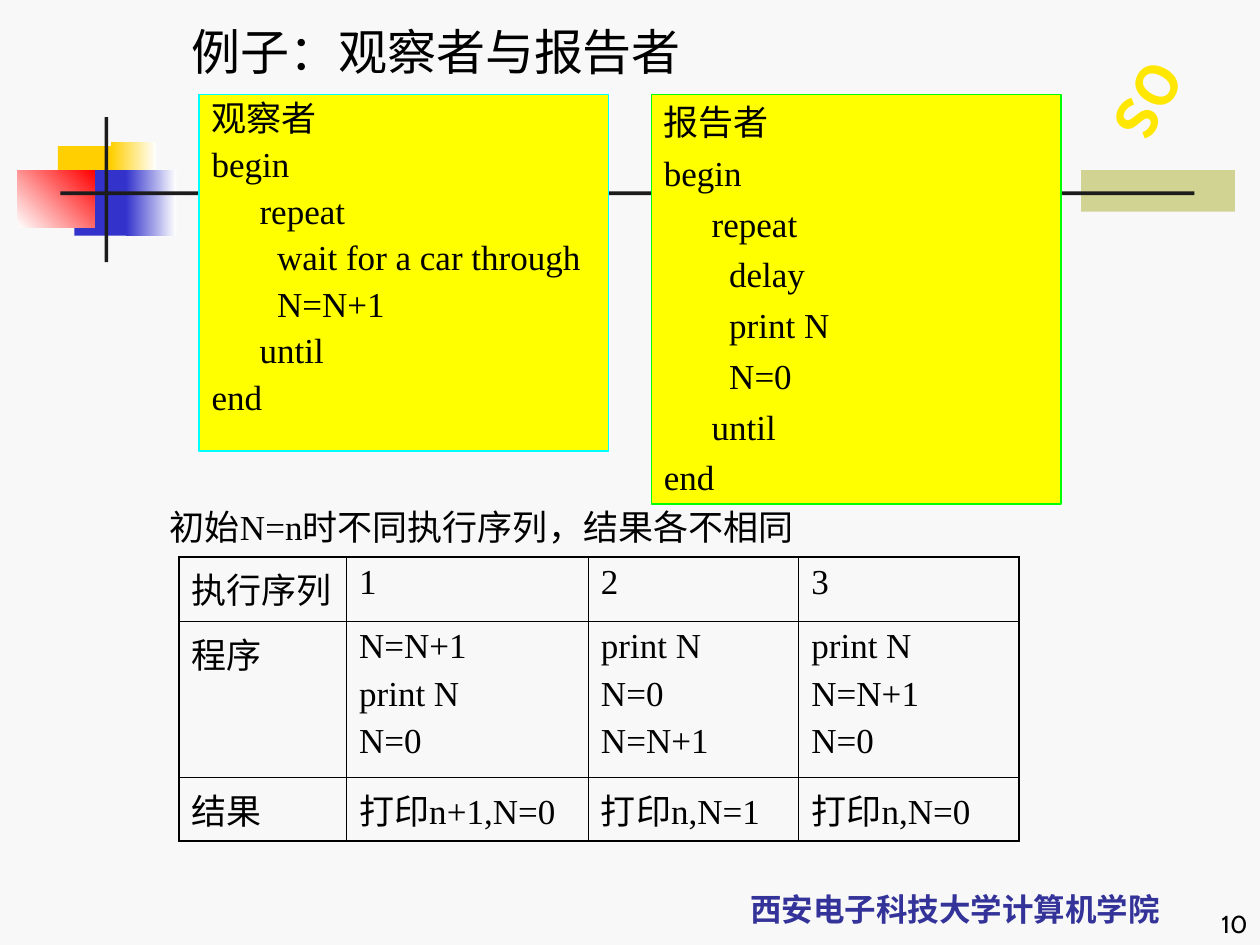
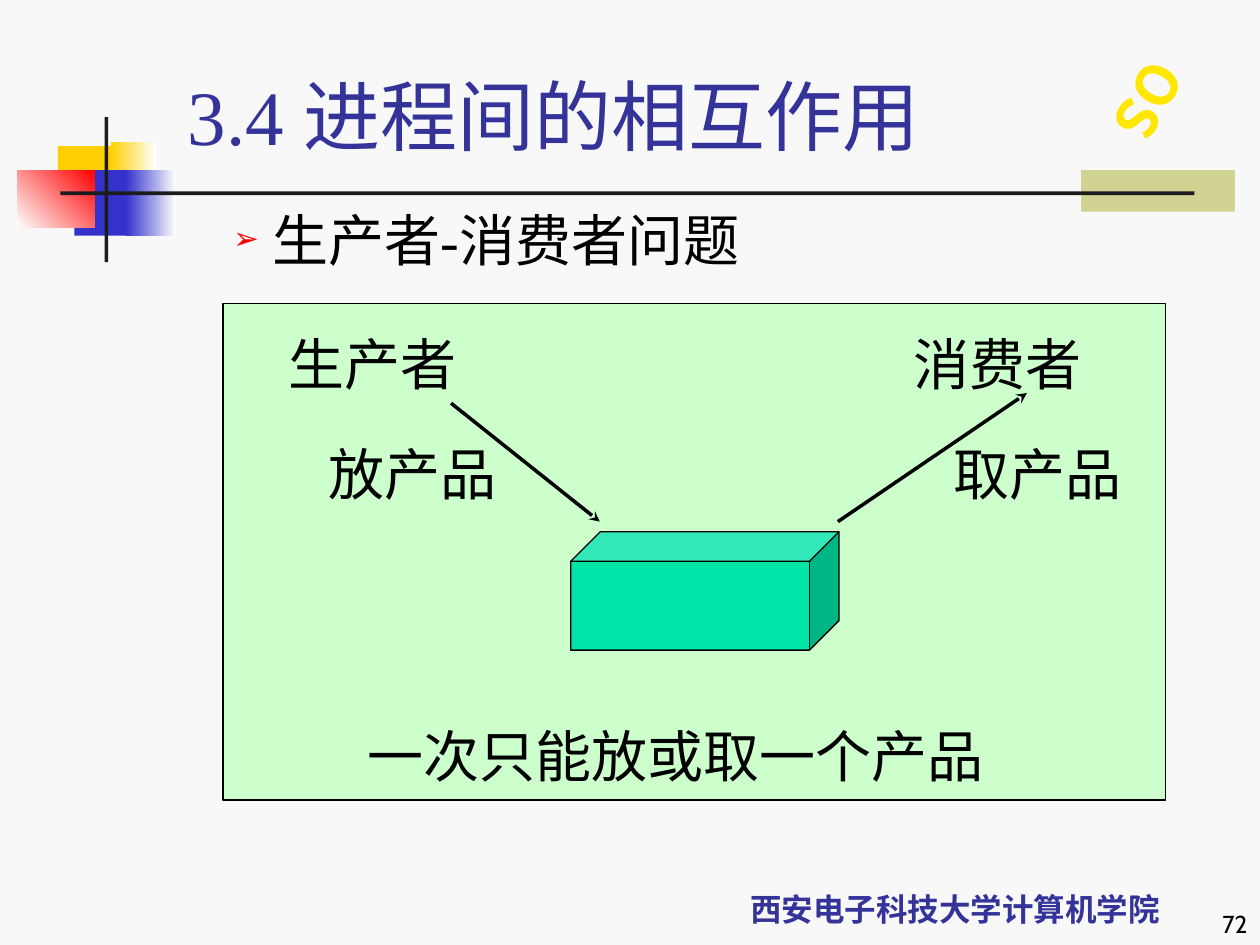
from dataclasses import dataclass, replace
from typing import NamedTuple, Optional

from lxml.etree import SubElement
from pptx import Presentation
from pptx.dml.color import RGBColor
from pptx.enum.shapes import MSO_CONNECTOR, MSO_SHAPE
from pptx.enum.text import MSO_ANCHOR, MSO_AUTO_SIZE, PP_ALIGN
from pptx.oxml.ns import qn
from pptx.util import Emu, Pt

PX = 9144  # 100 px to the inch
SERIF, SANS, NUMBER_FONT = "Times New Roman", "Noto Sans CJK SC", "Cabin"
BLACK, WHITE, RED, YELLOW = "000000", "FFFFFF", "FF0000", "FFFF00"
NAVY, BLUE, GOLD, INK = "333399", "3333CC", "FFCF01", "1C1C1C"
PAPER, OLIVE, MINT, JADE = "F8F8F8", "D1D393", "CCFFCC", "00E4A8"
CYAN, GREEN = "00FFFF", "00FF00"


class Area(NamedTuple):
    left: int
    top: int
    width: int
    height: int


class Gradient(NamedTuple):
    start: str
    end: str
    angle: int = 0


class Block(NamedTuple):
    area: Area
    fill: str | Gradient


class Label(NamedTuple):
    area: Area
    text: str


class Arrow(NamedTuple):
    start: tuple[int, int]
    end: tuple[int, int]


@dataclass(frozen=True)
class TextStyle:
    size: int
    color: str | Gradient = BLACK
    font: str = SERIF
    bold: bool = False
    space_before: int = 0
    line_spacing: float = 1.0
    margin: int = 0
    indent: int = 0
    level: int = 0
    bullet: Optional[str] = None
    align: PP_ALIGN = PP_ALIGN.LEFT
    anchor: MSO_ANCHOR = MSO_ANCHOR.TOP


# Text styles
CODE = TextStyle(20, space_before=5, margin=38, indent=-38)
TIGHT_CODE = replace(CODE, line_spacing=0.9)
CELL = TextStyle(20, space_before=5)
EXAMPLE_TITLE = TextStyle(28, line_spacing=0.9)
SECTION_TITLE = TextStyle(44, NAVY, anchor=MSO_ANCHOR.BOTTOM)
DIAGRAM = TextStyle(32, margin=81, indent=-31, level=1)
BULLETED = replace(DIAGRAM, bullet="➢")
FOOTER = TextStyle(18, NAVY, SANS, True, align=PP_ALIGN.CENTER, anchor=MSO_ANCHOR.BOTTOM)
BADGE = TextStyle(32, Gradient("FFE701", "FE3E02", 329), SANS, True,
                  align=PP_ALIGN.CENTER, anchor=MSO_ANCHOR.MIDDLE)
PAGE_NUMBER = TextStyle(14, font=NUMBER_FONT, align=PP_ALIGN.RIGHT, anchor=MSO_ANCHOR.BOTTOM)

# Shared decoration
DECORATION = [
    Block(Area(858, 135, 122, 33), OLIVE),
    Block(Area(46, 116, 48, 52), GOLD),
    Block(Area(88, 113, 36, 52), Gradient(GOLD, WHITE)),
    Block(Area(59, 135, 46, 52), BLUE),
    Block(Area(100, 135, 40, 52), Gradient(BLUE, WHITE)),
    Block(Area(14, 135, 61, 46), Gradient(WHITE, RED, 45)),
    Block(Area(83, 93, 3, 115), INK),
    Block(Area(48, 152, 900, 3), INK),
]

# Observer and reporter content
OBSERVER = """观察者
begin
\trepeat
\t  wait for a car through
\t  N=N+1
\tuntil
end"""
REPORTER = """报告者
begin
\trepeat
\t  delay
\t  print N
\t  N=0
\tuntil
end"""
SEQUENCES = [
    ["执行序列", "1", "2", "3"],
    ["程序", "N=N+1\nprint N\nN=0", "print N\nN=0\nN=N+1", "print N\nN=N+1\nN=0"],
    ["结果", "打印n+1,N=0", "打印n,N=1", "打印n,N=0"],
]
COLUMN_WIDTHS = [133, 192, 167, 175]
ROW_HEIGHTS = [51, 124, 50]

# Producer and consumer content
DIAGRAM_LABELS = [
    Label(Area(169, 257, 205, 67), "生产者"),
    Label(Area(665, 257, 205, 67), "消费者"),
    Label(Area(232, 568, 567, 67), "一次只能放或取一个产品"),
    Label(Area(201, 344, 205, 67), "放产品"),
    Label(Area(697, 344, 205, 67), "取产品"),
]
ARROWS = [Arrow((358, 320), (476, 414)), Arrow((665, 414), (815, 312))]


def px(length: int) -> Emu:
    return Emu(length * PX)


def emu(area: Area) -> list[Emu]:
    return [px(length) for length in area]


def rgb(color: str) -> RGBColor:
    return RGBColor.from_string(color)


def paint(fill, color: str | Gradient) -> None:
    if isinstance(color, Gradient):
        fill.gradient()
        fill.gradient_angle = color.angle
        for stop, stop_color in zip(fill.gradient_stops, color[:2]):
            stop.color.rgb = rgb(stop_color)
    else:
        fill.solid()
        fill.fore_color.rgb = rgb(color)


def outline(shape, color: str, width: float = 0.75) -> None:
    shape.line.color.rgb = rgb(color)
    shape.line.width = Pt(width)


def set_bullet(para, bullet: Optional[str]) -> None:
    properties = para._p.get_or_add_pPr()
    if bullet is None:
        SubElement(properties, qn("a:buNone"))
        return
    color = SubElement(properties, qn("a:buClr"))
    SubElement(color, qn("a:srgbClr"), val=RED)
    SubElement(properties, qn("a:buSzPct"), val="55000")
    SubElement(properties, qn("a:buChar"), char=bullet)


def write(text_frame, text: str, style: TextStyle) -> None:
    text_frame.text = text
    for index, para in enumerate(text_frame.paragraphs):
        set_bullet(para, style.bullet)
        properties = para._p.get_or_add_pPr()
        properties.set("marL", str(px(style.margin)))
        properties.set("indent", str(px(style.indent)))
        para.level = style.level
        para.alignment = style.align
        para.line_spacing = style.line_spacing
        para.space_before = Pt(style.space_before if index else 0)
        for span in para.runs:
            span.font.size = Pt(style.size)
            span.font.bold = style.bold
            span.font.name = style.font
            paint(span.font.fill, style.color)
            SubElement(span._r.get_or_add_rPr(), qn("a:ea"), typeface=SANS)


def fill_box(box, text: str, style: TextStyle) -> None:
    frame = box.text_frame
    frame.word_wrap = True
    frame.auto_size = MSO_AUTO_SIZE.NONE
    frame.vertical_anchor = style.anchor
    write(frame, text, style)


def add_text(page, area: Area, text: str, style: TextStyle):
    box = page.shapes.add_textbox(*emu(area))
    fill_box(box, text, style)
    return box


def fill_placeholder(box, area: Area, text: str, style: TextStyle) -> None:
    box.left, box.top, box.width, box.height = emu(area)
    fill_box(box, text, style)


def add_block(page, block: Block, line: Optional[str] = None, kind=MSO_SHAPE.RECTANGLE):
    shape = page.shapes.add_shape(kind, *emu(block.area))
    shape.shadow.inherit = False
    paint(shape.fill, block.fill)
    if line:
        outline(shape, line)
    else:
        shape.line.fill.background()
    return shape


def add_arrow(page, arrow: Arrow) -> None:
    ends = [px(value) for value in arrow.start + arrow.end]
    connector = page.shapes.add_connector(MSO_CONNECTOR.STRAIGHT, *ends)
    outline(connector, BLACK, 2)
    properties = connector.element.spPr
    SubElement(properties.find(qn("a:ln")), qn("a:tailEnd"), type="stealth")
    SubElement(properties, qn("a:effectLst"))


def border_cell(cell, outer: dict[str, bool]) -> None:
    cell.fill.background()
    properties = cell._tc.get_or_add_tcPr()
    for index, (side, is_outer) in enumerate(outer.items()):
        width = Pt(1.08 if is_outer else 0.45)
        line = SubElement(properties, qn(f"a:ln{side}"), w=str(width))
        SubElement(SubElement(line, qn("a:solidFill")), qn("a:srgbClr"), val=BLACK)
        properties.insert(index, line)


def add_sequence_table(page) -> None:
    area = Area(142, 442, sum(COLUMN_WIDTHS), sum(ROW_HEIGHTS))
    last_row, last_column = len(ROW_HEIGHTS) - 1, len(COLUMN_WIDTHS) - 1
    table = page.shapes.add_table(last_row + 1, last_column + 1, *emu(area)).table
    table.first_row = table.horz_banding = False
    for column, width in zip(table.columns, COLUMN_WIDTHS):
        column.width = px(width)
    for row, height in zip(table.rows, ROW_HEIGHTS):
        row.height = px(height)
    for r, texts in enumerate(SEQUENCES):
        for c, text in enumerate(texts):
            cell = table.cell(r, c)
            write(cell.text_frame, text, CELL)
            border_cell(cell, {"L": c == 0, "R": c == last_column,
                               "T": r == 0, "B": r == last_row})


def decorate_layout(layout, page) -> None:
    """Draw the shared parts on a page, then hand them to its layout."""
    layout.background.fill.solid()
    layout.background.fill.fore_color.rgb = rgb(PAPER)
    for box in list(layout.placeholders)[2:]:
        box.element.getparent().remove(box.element)
    parts = [add_block(page, block) for block in DECORATION]
    parts.append(add_text(page, Area(533, 683, 450, 58), "西安电子科技大学计算机学院", FOOTER))
    badge = add_text(page, Area(876, 40, 79, 71), "OS", BADGE)
    badge.rotation = 29.3
    frame = badge.text_frame
    frame.word_wrap = False
    frame.margin_left = frame.margin_right = px(5)
    frame.margin_top = frame.margin_bottom = px(10)
    frame._txBody.bodyPr.set("vert", "eaVert")
    for part in parts + [badge]:
        layout.shapes.element.append(part.element)


def add_page_number(page, number: int) -> None:
    add_text(page, Area(792, 700, 208, 50), str(number), PAGE_NUMBER)


def build_observer_page(page) -> None:
    title, body = page.placeholders
    fill_placeholder(title, Area(142, 17, 417, 75), "例子：观察者与报告者", EXAMPLE_TITLE)
    fill_placeholder(body, Area(158, 75, 325, 283), OBSERVER, TIGHT_CODE)
    paint(body.fill, YELLOW)
    outline(body, CYAN)
    reporter = add_block(page, Block(Area(517, 75, 325, 325), YELLOW), GREEN)
    fill_box(reporter, REPORTER, CODE)
    add_text(page, Area(125, 400, 650, 33), "初始N=n时不同执行序列，结果各不相同", TIGHT_CODE)
    add_sequence_table(page)
    add_page_number(page, 10)


def build_producer_page(page) -> None:
    title, body = page.placeholders
    fill_placeholder(title, Area(139, 50, 852, 83), "3.4 进程间的相互作用", SECTION_TITLE)
    fill_placeholder(body, Area(125, 158, 850, 67), "生产者-消费者问题", BULLETED)
    add_block(page, Block(Area(177, 241, 748, 394), MINT), BLACK)
    add_block(page, Block(Area(453, 422, 213, 94), JADE), BLACK, MSO_SHAPE.CUBE)
    for label in DIAGRAM_LABELS:
        add_text(page, label.area, label.text, DIAGRAM)
    for arrow in ARROWS:
        add_arrow(page, arrow)
    add_page_number(page, 72)


def main() -> None:
    deck = Presentation()
    deck.slide_width, deck.slide_height = px(1000), px(750)
    layout = deck.slide_layouts[1]
    observer_page, producer_page = (deck.slides.add_slide(layout) for _ in range(2))
    decorate_layout(layout, observer_page)
    build_observer_page(observer_page)
    build_producer_page(producer_page)
    deck.save("out.pptx")


if __name__ == "__main__":
    main()
